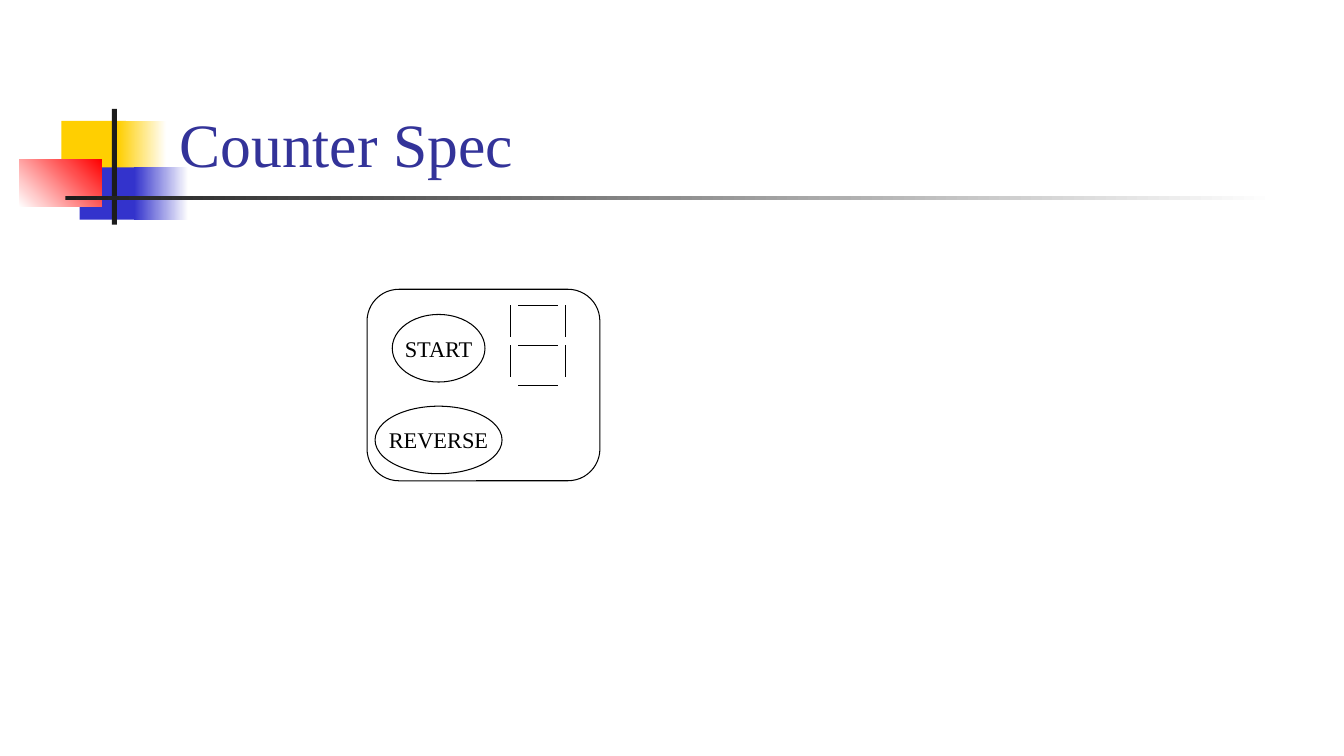
from dataclasses import dataclass

from lxml import etree
from pptx import Presentation
from pptx.dml.color import RGBColor
from pptx.enum.shapes import MSO_CONNECTOR, MSO_SHAPE
from pptx.enum.text import MSO_ANCHOR, PP_ALIGN
from pptx.oxml.ns import qn
from pptx.util import Inches, Pt

RECTANGLE = MSO_SHAPE.RECTANGLE
ROUNDED = MSO_SHAPE.ROUNDED_RECTANGLE
OVAL = MSO_SHAPE.OVAL
STRAIGHT = MSO_CONNECTOR.STRAIGHT
BOTTOM, MIDDLE = MSO_ANCHOR.BOTTOM, MSO_ANCHOR.MIDDLE
LEFT, CENTER = PP_ALIGN.LEFT, PP_ALIGN.CENTER


@dataclass(frozen=True)
class Theme:
    font: str = "Times New Roman"
    title_size: int = 44
    button_size: int = 16
    outline: float = 0.75
    title: str = "333399"
    ink: str = "000000"
    yellow: str = "FFCF01"
    blue: str = "3333CC"
    red: str = "FF0000"
    rule: str = "1C1C1C"
    white: str = "FFFFFF"


class CounterSlide:
    """Places elements on a grid of square cells, ten to the inch."""

    def __init__(self, deck, theme):
        self.theme = theme
        self.slide = deck.slides.add_slide(deck.slide_layouts[5])
        self.shapes = self.slide.shapes

    def cells(self, *counts):
        return [Inches(count / 10) for count in counts]

    def set_text(self, frame, text, size, color, align):
        frame.text = text
        paragraph = frame.paragraphs[0]
        paragraph.alignment = align
        paragraph.font.name = self.theme.font
        paragraph.font.size = Pt(size)
        paragraph.font.color.rgb = RGBColor.from_string(color)

    def title(self, text, box):
        heading = self.slide.shapes.title
        heading.left, heading.top, heading.width, heading.height = self.cells(*box)
        heading.text_frame.vertical_anchor = BOTTOM
        self.set_text(heading.text_frame, text, self.theme.title_size, self.theme.title, LEFT)
        heading.element.getparent().append(heading.element)

    def block(self, box, start, end=None, angle=0):
        """Add a borderless rectangle, fading from start to end if end is given."""
        block = self.shapes.add_shape(RECTANGLE, *self.cells(*box))
        block.shadow.inherit = False
        block.line.fill.background()
        if end is None:
            block.fill.solid()
            block.fill.fore_color.rgb = RGBColor.from_string(start)
            return
        block.fill.gradient()
        block.fill.gradient_angle = angle
        for stop, color in zip(block.fill.gradient_stops, (start, end)):
            stop.color.rgb = RGBColor.from_string(color)

    def start_group(self):
        self.shapes = self.slide.shapes.add_group_shape().shapes

    def ink_line(self, line):
        line.color.rgb = RGBColor.from_string(self.theme.ink)
        line.width = Pt(self.theme.outline)

    def outline(self, kind, box):
        outline = self.shapes.add_shape(kind, *self.cells(*box))
        outline.shadow.inherit = False
        outline.fill.background()
        self.ink_line(outline.line)
        return outline

    def button(self, label, box):
        frame = self.outline(OVAL, box).text_frame
        frame.word_wrap = False
        frame.vertical_anchor = MIDDLE
        self.set_text(frame, label, self.theme.button_size, self.theme.ink, CENTER)

    def segment(self, *ends):
        segment = self.shapes.add_connector(STRAIGHT, *self.cells(*ends))
        self.ink_line(segment.line)
        etree.SubElement(segment.element.spPr, qn("a:effectLst"))

    def digit(self, left, top, step):
        """Draw a seven-segment digit, seven steps wide and ten high."""
        horizontal = [(1, row, 6, row) for row in (0, 5, 10)]
        vertical = [(column, row, column, row + 4) for row in (0, 5) for column in (0, 7)]
        for x1, y1, x2, y2 in horizontal + vertical:
            self.segment(left + x1 * step, top + y1 * step,
                         left + x2 * step, top + y2 * step)


def main():
    deck = Presentation()
    deck.slide_width, deck.slide_height = Inches(13.33), Inches(7.5)
    theme = Theme()
    counter = CounterSlide(deck, theme)

    counter.block((6.1, 12, 6.4, 5.2), theme.yellow)
    counter.block((11.7, 12, 4.8, 5.2), theme.yellow, theme.white)
    counter.block((7.9, 16.6, 6.2, 5.2), theme.blue)
    counter.block((13.3, 16.6, 5.4, 5.2), theme.blue, theme.white)
    counter.block((1.9, 15.8, 8.2, 4.7), theme.white, theme.red, angle=45)
    counter.block((11.1, 10.8, 0.5, 11.5), theme.rule)
    counter.block((6.5, 19.45, 120, 0.35), theme.rule, theme.white)
    counter.title("Counter Spec", (16.8, 2.3, 113.6, 16))

    counter.start_group()
    counter.digit(50.6, 30.3, 0.79)
    counter.outline(ROUNDED, (36.4, 28.7, 23.1, 19))
    counter.button("START", (38.9, 31.2, 9.2, 6.7))
    counter.button("REVERSE", (37.2, 40.3, 12.6, 6.7))

    deck.save("out.pptx")


if __name__ == "__main__":
    main()
